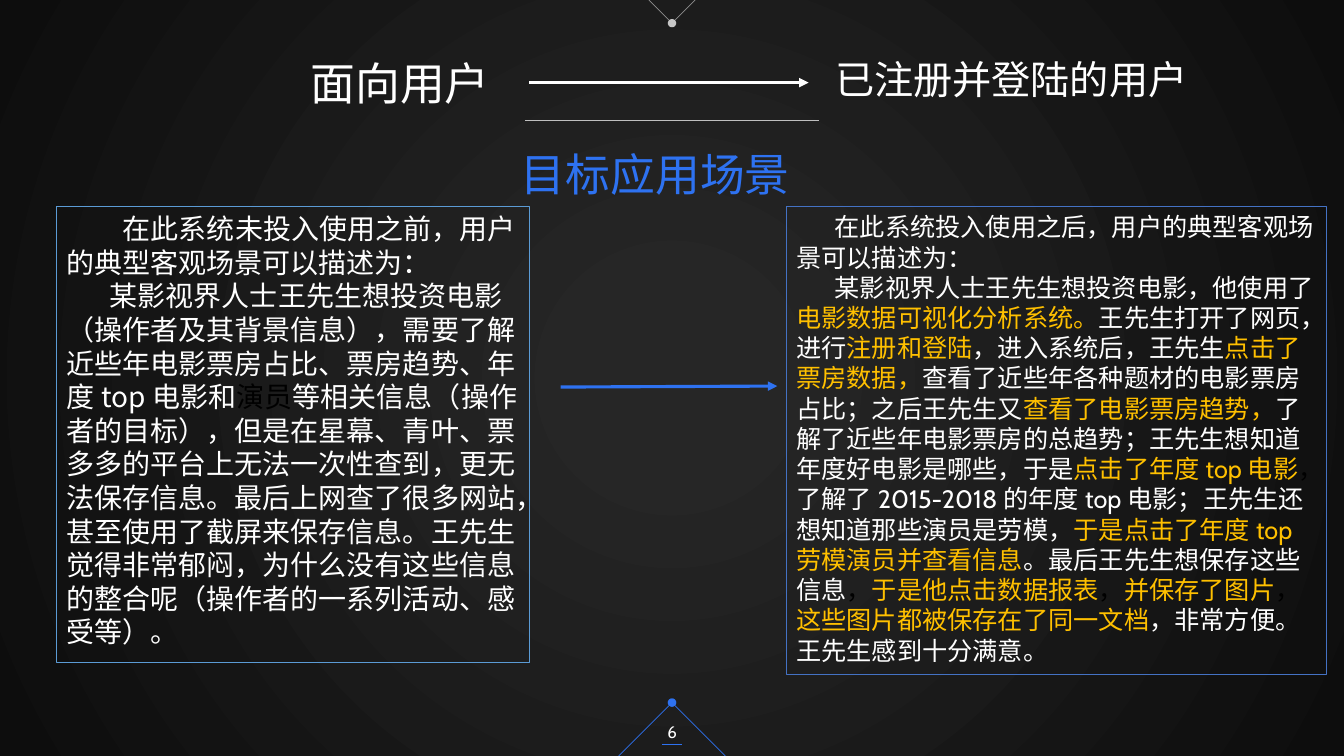
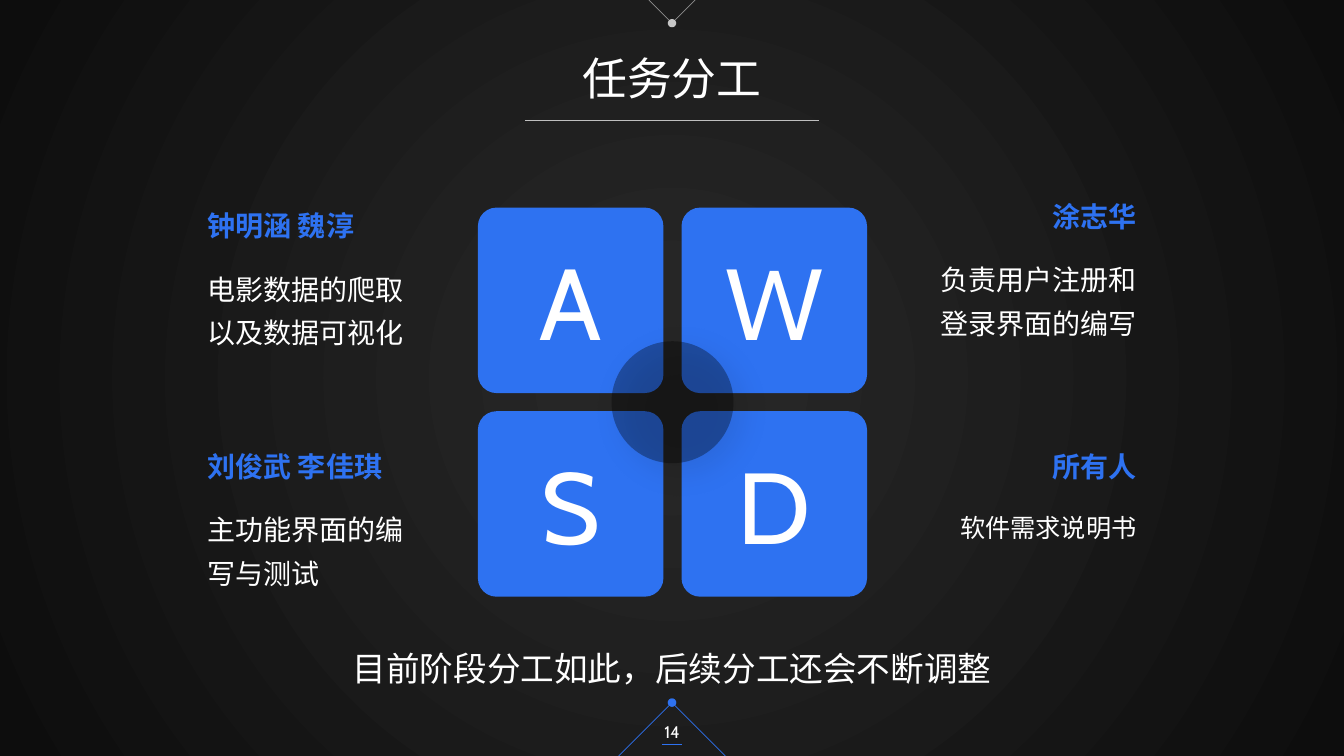
from lxml.etree import SubElement
from pptx import Presentation
from pptx.dml.color import RGBColor
from pptx.enum.lang import MSO_LANGUAGE_ID as Lang
from pptx.enum.shapes import MSO_CONNECTOR as Connector, MSO_SHAPE as Shape
from pptx.enum.text import MSO_ANCHOR as Anchor, PP_ALIGN as Align
from pptx.oxml.ns import qn
from pptx.util import Inches, Pt

WIDTH, HEIGHT = 13.33, 7.5
CENTER = WIDTH / 2
WHITE, BLACK, BLUE, GOLD = "FFFFFF", "000000", "2E72F1", "FFC000"
RULE_GREY, LEFT_BORDER, RIGHT_BORDER = "BFBFBF", "5B9BD5", "4472C4"
GLOW, EDGE = "262626", "0D0D0D"
FONT, BODY_FONT = "Cabin", "Noto Sans CJK SC"

BEFORE = [
    (0.56, [("在此系统未投入使用之前，用户的典型客观场景可以描述为：", WHITE)]),
    (0.43, [
        ("某影视界人士王先生想投资电影（操作者及其背景信息），需要了解近些年电影票房占比、票房趋势、年度top电影和", WHITE),
        ("演员", BLACK),
        ("等相关信息（操作者的目标），但是在星幕、青叶、票多多的平台上无法一次性查到，更无法保存信息。"
         "最后上网查了很多网站，甚至使用了截屏来保存信息。王先生觉得非常郁闷，为什么没有这些信息的整合呢"
         "（操作者的一系列活动、感受等）。", WHITE),
    ]),
]
AFTER = [
    (0.38, [("在此系统投入使用之后，用户的典型客观场景可以描述为：", WHITE)]),
    (0.38, [
        ("某影视界人士王先生想投资电影，他使用了", WHITE),
        ("电影数据可视化分析系统。", GOLD),
        ("王先生打开了网页，进行", WHITE),
        ("注册和登陆", GOLD),
        ("，进入系统后，王先生", WHITE),
        ("点击了票房数据，", GOLD),
        ("查看了近些年各种题材的电影票房占比；之后王先生又", WHITE),
        ("查看了电影票房趋势，", GOLD),
        ("了解了近些年电影票房的总趋势；王先生想知道年度好电影是哪些，于是", WHITE),
        ("点击了年度top电影", GOLD),
        ("，", BLACK),
        ("了解了2015-2018的年度top电影；王先生还想知道那些演员是劳模，", WHITE),
        ("于是点击了年度top劳模演员并查看信息", GOLD),
        ("。最后王先生想保存这些信息", WHITE),
        ("，", BLACK),
        ("于是他点击数据报表", GOLD),
        ("，", BLACK),
        ("并保存了图片", GOLD),
        ("，", BLACK),
        ("这些图片都被保存在了同一文档", GOLD),
        ("，非常方便。王先生感到十分满意。", WHITE),
    ]),
]
DUTIES = [
    (1.96, 2.02, Align.LEFT, "钟明涵 魏淳", "电影数据的爬取以及数据可视化", 20),
    (8.98, 1.93, Align.RIGHT, "涂志华", "负责用户注册和登录界面的编写", 20),
    (1.96, 4.41, Align.LEFT, "刘俊武 李佳琪", "主功能界面的编写与测试", 20),
    (8.98, 4.41, Align.RIGHT, "所有人", "软件需求说明书", 18),
]


def rgb(value):
    return RGBColor.from_string(value)


def lengths(box):
    return [Inches(value) for value in box]


def set_alpha(fill, percent):
    color = fill._xPr.find(qn("a:solidFill"))[0]
    SubElement(color, qn("a:alpha"), val=str(percent * 1000))


def style_run(run, size, color, font=FONT, bold=False):
    run.font.size = Pt(size)
    run.font.bold = bold
    run.font.color.rgb = rgb(color)
    run.font.name = font
    run.font.language_id = Lang.SIMPLIFIED_CHINESE
    SubElement(run._r.get_or_add_rPr(), qn("a:ea"), typeface=FONT)


def add_label(slide, box, text, size, color=WHITE, align=Align.CENTER,
              bold=False, spacing=None, anchor=Anchor.TOP):
    frame = slide.shapes.add_textbox(*lengths(box)).text_frame
    frame.word_wrap = True
    frame.vertical_anchor = anchor
    frame.text = text
    paragraph = frame.paragraphs[0]
    paragraph.alignment = align
    paragraph.line_spacing = spacing
    style_run(paragraph.runs[0], size, color, bold=bold)


def add_line(slide, start, end, color, width=0.5, end_mark=None, alpha=None):
    line = slide.shapes.add_connector(Connector.STRAIGHT, *lengths(start + end))
    line.line.color.rgb = rgb(color)
    line.line.width = Pt(width)
    if alpha:
        set_alpha(line.line.fill, alpha)
    if end_mark:
        SubElement(line.line._get_or_add_ln(), qn("a:tailEnd"), type=end_mark)
    SubElement(line._element.spPr, qn("a:effectLst"))


def add_chevron(slide, tip_y, base_y, color, alpha=None):
    reach = abs(base_y - tip_y)
    for side in (-1, 1):
        add_line(slide, (CENTER + side * reach, base_y), (CENTER, tip_y),
                 color, end_mark="oval", alpha=alpha)


def paint_background(slide):
    fill = slide.background.fill
    fill.gradient()
    for stop, color, position in zip(fill.gradient_stops, (GLOW, EDGE), (0.11, 1)):
        stop.color.rgb = rgb(color)
        stop.position = position
    gradient = slide._element.find(".//" + qn("a:gradFill"))
    gradient.remove(gradient.find(qn("a:lin")))
    circle = SubElement(gradient, qn("a:path"))
    circle.set("path", "circle")
    SubElement(circle, qn("a:fillToRect"), l="50000", t="50000", r="50000", b="50000")


def add_framed_slide(deck, number):
    slide = deck.slides.add_slide(deck.slide_layouts[6])
    paint_background(slide)
    add_line(slide, (5.21, 1.19), (8.12, 1.19), RULE_GREY)
    add_chevron(slide, 0.23, 0, WHITE, alpha=50)
    add_chevron(slide, 6.97, HEIGHT, BLUE)
    add_line(slide, (6.57, 7.38), (6.76, 7.38), BLUE)
    add_label(slide, (6.32, 7.06, 0.69, 0.4), str(number), 12, anchor=Anchor.MIDDLE)
    return slide


def add_scenario(slide, box, story, size, border, font):
    panel = slide.shapes.add_textbox(*lengths(box))
    panel.line.color.rgb = rgb(border)
    panel.line.width = Pt(1)
    frame = panel.text_frame
    frame.word_wrap = True
    for index, (indent, pieces) in enumerate(story):
        paragraph = frame.add_paragraph() if index else frame.paragraphs[0]
        paragraph.line_spacing = Pt(size * 1.2)
        paragraph._p.get_or_add_pPr().set("indent", str(Inches(indent)))
        for text, color in pieces:
            run = paragraph.add_run()
            run.text = text
            style_run(run, size, color, font)


def add_key_pad(slide, left, top, side=1.84, gap=0.18):
    for index, letter in enumerate("AWSD"):
        row, column = divmod(index, 2)
        key = slide.shapes.add_shape(Shape.ROUNDED_RECTANGLE, *lengths(
            (left + column * (side + gap), top + row * (side + gap), side, side)))
        key.adjustments[0] = 0.1
        key.shadow.inherit = False
        key.fill.solid()
        key.fill.fore_color.rgb = rgb(BLUE)
        key.line.fill.background()
        key.text_frame.text = letter
        key.text_frame.vertical_anchor = Anchor.MIDDLE
        key.text_frame.paragraphs[0].alignment = Align.CENTER
        style_run(key.text_frame.paragraphs[0].runs[0], 72, WHITE)
    hub_size = 1.21
    offset = side + (gap - hub_size) / 2
    hub = slide.shapes.add_shape(Shape.OVAL, *lengths(
        (left + offset, top + offset, hub_size, hub_size)))
    hub.fill.solid()
    hub.fill.fore_color.rgb = rgb(BLACK)
    set_alpha(hub.fill, 33)
    hub.line.fill.background()
    effects = SubElement(hub._element.spPr, qn("a:effectLst"))
    shadow = SubElement(effects, qn("a:outerShdw"), blurRad=str(Pt(23)),
                        dist=str(Pt(9)), dir="2700000", rotWithShape="0")
    shade = SubElement(shadow, qn("a:srgbClr"), val=BLACK)
    SubElement(shade, qn("a:alpha"), val="25000")


def add_duty(slide, left, top, align, people, task, size):
    add_label(slide, (left, top, 2.39, 0.44), people, 20, BLUE, align, bold=True)
    add_label(slide, (left, top + 0.53, 2.39, 0.93), task, size, align=align, spacing=1.3)


def build_scenario_slide(deck):
    slide = add_framed_slide(deck, 6)
    add_label(slide, (2.98, 0.5, 2.58, 0.64), "面向用户", 32, align=Align.LEFT)
    add_label(slide, (7.8, 0.5, 4.46, 0.57), "已注册并登陆的用户", 28)
    add_label(slide, (4.76, 1.41, 3.48, 0.64), "目标应用场景", 32, BLUE)
    add_scenario(slide, (0.56, 2.05, 4.69, 4.52), BEFORE, 20, LEFT_BORDER, BODY_FONT)
    add_scenario(slide, (7.8, 2.05, 5.36, 4.64), AFTER, 18, RIGHT_BORDER, FONT)
    add_line(slide, (5.56, 3.84), (7.71, 3.83), BLUE, 2.25, "triangle")
    add_line(slide, (5.25, 0.82), (8.02, 0.82), WHITE, 2.25, "triangle")


def build_duties_slide(deck):
    slide = add_framed_slide(deck, 14)
    add_label(slide, (CENTER - 1.5, 0.45, 3, 0.64), "任务分工", 32)
    add_key_pad(slide, 4.74, 2.06)
    for duty in DUTIES:
        add_duty(slide, *duty)
    add_label(slide, (2.85, 6.38, 7.63, 0.5), "目前阶段分工如此，后续分工还会不断调整", 24)


def main():
    deck = Presentation()
    deck.slide_width, deck.slide_height = Inches(WIDTH), Inches(HEIGHT)
    build_scenario_slide(deck)
    build_duties_slide(deck)
    deck.save("out.pptx")


if __name__ == "__main__":
    main()
